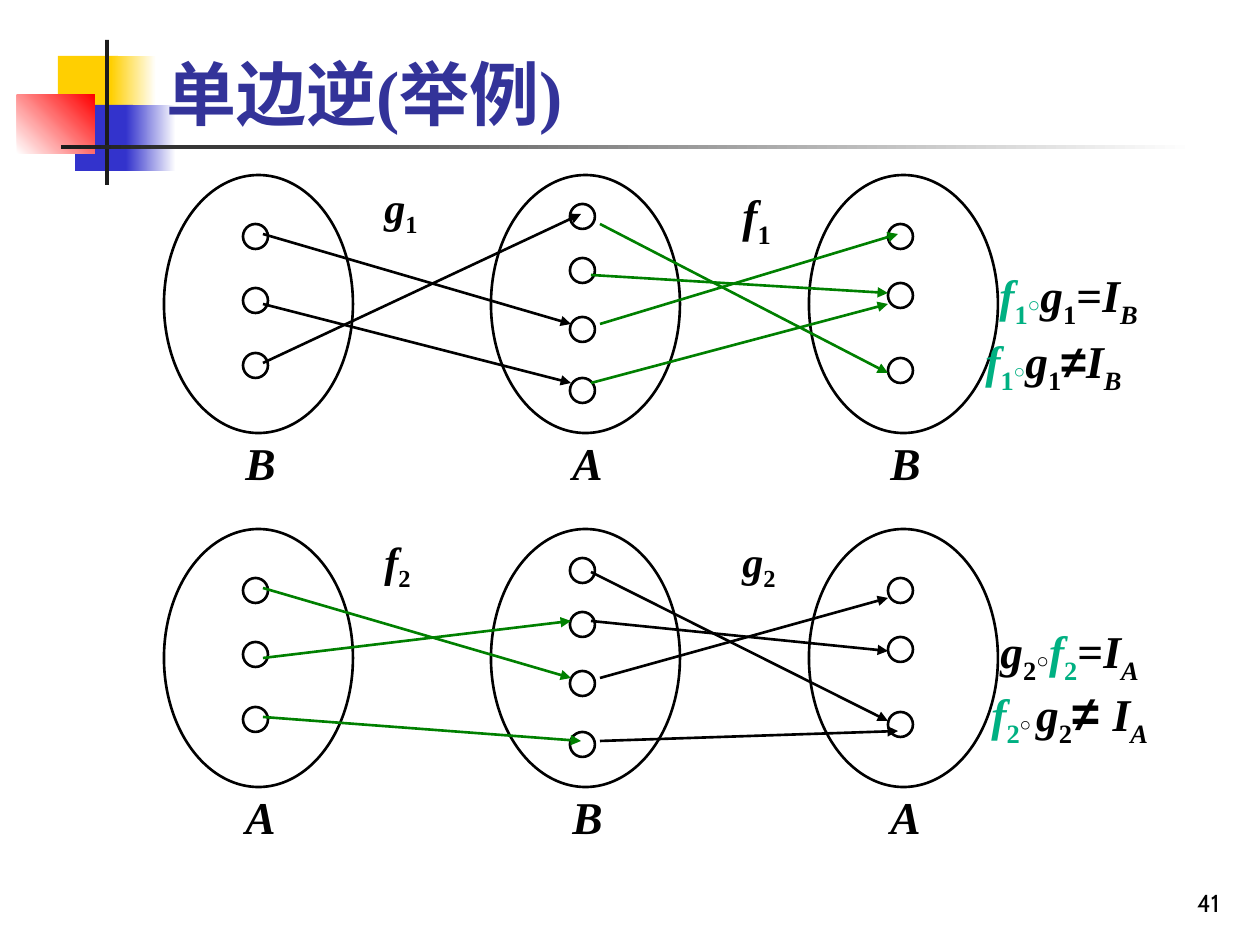
from dataclasses import dataclass
from typing import NamedTuple

from lxml.etree import SubElement
from pptx import Presentation
from pptx.dml.color import RGBColor as RGB
from pptx.enum.shapes import MSO_CONNECTOR as Link, MSO_SHAPE as Preset
from pptx.enum.text import MSO_ANCHOR as Anchor, MSO_AUTO_SIZE as AutoSize, PP_ALIGN as Align
from pptx.oxml.ns import qn
from pptx.util import Emu, Pt

PX_PER_INCH = 126


@dataclass(frozen=True)
class Theme:
    black: str = "000000"
    white: str = "FFFFFF"
    green: str = "008000"
    teal: str = "00B082"
    title: str = "333399"
    yellow: str = "FFCF01"
    blue: str = "3333CC"
    red: str = "FF0000"
    dark: str = "1C1C1C"
    serif: str = "Times New Roman"
    sans: str = "Arial"
    number: str = "Cabin"
    title_size: float = 40
    text_size: float = 26
    map_size: float = 24.1
    number_size: float = 14
    line_width: float = 1.5


THEME = Theme()


class Box(NamedTuple):
    left: int
    top: int
    width: int
    height: int


class Span(NamedTuple):
    text: str
    color: str = THEME.black
    italic: bool = False
    sub: bool = False
    size: float = THEME.text_size
    font: str = THEME.serif


class Block(NamedTuple):
    box: Box
    start: str
    end: str = ""
    angle: int = 0


class Arrow(NamedTuple):
    x1: int
    y1: int
    x2: int
    y2: int


@dataclass(frozen=True)
class Diagram:
    top: int
    sets: str
    colors: tuple[str, str]
    first: list[Arrow]
    second: list[Arrow]


def px(value: int) -> Emu:
    return Emu(round(value * 914400 / PX_PER_INCH))


def add_preset(page, preset, box: Box):
    shape = page.shapes.add_shape(preset, *map(px, box))
    shape.shadow.inherit = False
    return shape


def add_block(page, block: Block) -> None:
    shape = add_preset(page, Preset.RECTANGLE, block.box)
    shape.line.fill.background()
    if block.end:
        shape.fill.gradient()
        shape.fill.gradient_angle = block.angle
        for stop, color in zip(shape.fill.gradient_stops, (block.start, block.end)):
            stop.color.rgb = RGB.from_string(color)
    else:
        shape.fill.solid()
        shape.fill.fore_color.rgb = RGB.from_string(block.start)


def add_outline(page, box: Box) -> None:
    shape = add_preset(page, Preset.OVAL, box)
    shape.fill.background()
    shape.line.color.rgb = RGB.from_string(THEME.black)
    shape.line.width = Pt(THEME.line_width)


def add_arrow(page, arrow: Arrow, top: int, color: str) -> None:
    line = page.shapes.add_connector(
        Link.STRAIGHT, px(arrow.x1), px(top + arrow.y1), px(arrow.x2), px(top + arrow.y2))
    line.line.color.rgb = RGB.from_string(color)
    line.line.width = Pt(THEME.line_width)
    SubElement(line.line._get_or_add_ln(), qn("a:tailEnd"), type="triangle")
    SubElement(line._element.spPr, qn("a:effectLst"))


def add_text(page, box: Box, spans: list[Span], before: float = 16.2,
             spacing: float = 1.1, wrap: bool = True) -> None:
    frame = page.shapes.add_textbox(*map(px, box)).text_frame
    frame.word_wrap = wrap
    frame.auto_size = AutoSize.SHAPE_TO_FIT_TEXT if spacing > 1 else AutoSize.NONE
    para = frame.paragraphs[0]
    para.space_before, para.line_spacing = Pt(before), spacing
    properties = para._p.get_or_add_pPr()
    properties.set("marL", str(px(48)))
    properties.set("indent", str(-px(48)))
    for span in spans:
        run = para.add_run()
        run.text = span.text
        font = run.font
        font.name, font.size = span.font, Pt(span.size)
        font.bold, font.italic = True, span.italic
        font.color.rgb = RGB.from_string(span.color)
        if span.sub:
            run._r.get_or_add_rPr().set("baseline", "-25000")


def symbol(name: str, index: str = "", color: str = THEME.black,
           size: float = THEME.text_size, italic_index: bool = False) -> list[Span]:
    """An italic letter with an optional subscript."""
    letter = [Span(name, color, True, size=size)]
    return letter + [Span(index, color, italic_index, True, size)] if index else letter


def identity(name: str) -> list[Span]:
    return symbol("I", name, italic_index=True)


# Sets, their elements (offsets from the top of the set) and their labels
SET_LEFTS = (164, 491, 809)
SET_WIDTH, SET_HEIGHT, DOT = 189, 258, 25
DOT_TOPS = ((49, 113, 178), (29, 83, 142, 203), (49, 108, 183))

DIAGRAMS = [
    Diagram(175, "BAB", (THEME.black, THEME.green),
            [Arrow(263, 59, 571, 149), Arrow(263, 129, 571, 208), Arrow(263, 188, 581, 39)],
            [Arrow(600, 49, 888, 198), Arrow(591, 208, 888, 129),
             Arrow(600, 149, 898, 59), Arrow(591, 100, 888, 118)]),
    Diagram(529, "ABA", (THEME.green, THEME.black),
            [Arrow(263, 59, 571, 149), Arrow(263, 129, 571, 92), Arrow(263, 188, 581, 212)],
            [Arrow(591, 43, 888, 192), Arrow(600, 149, 888, 69),
             Arrow(591, 92, 888, 122), Arrow(600, 212, 898, 202)]),
]


def draw_diagram(page, diagram: Diagram) -> None:
    for left, dots, name in zip(SET_LEFTS, DOT_TOPS, diagram.sets):
        add_outline(page, Box(left, diagram.top, SET_WIDTH, SET_HEIGHT))
        for dot in dots:
            add_outline(page, Box(left + 79, diagram.top + dot, DOT, DOT))
        add_text(page, Box(left + 69, diagram.top + 248, 129, 73), symbol(name))
    for arrows, color in zip((diagram.first, diagram.second), diagram.colors):
        for arrow in arrows:
            add_arrow(page, arrow, diagram.top, color)


DECORATION = [
    Block(Box(58, 56, 60, 65), THEME.yellow),
    Block(Box(111, 56, 45, 65), THEME.yellow, THEME.white),
    Block(Box(75, 105, 58, 66), THEME.blue),
    Block(Box(126, 105, 50, 66), THEME.blue, THEME.white),
    Block(Box(17, 95, 78, 59), THEME.white, THEME.red, 45),
    Block(Box(105, 40, 4, 145), THEME.dark),
    Block(Box(61, 145, 1134, 4), THEME.dark, THEME.white),
]

F1, F2 = symbol("f", "1", THEME.teal), symbol("f", "2", THEME.teal)
G1, G2 = symbol("g", "1"), symbol("g", "2")
UNEQUAL = Span("≠", font=THEME.sans)
FORMULAS = [
    (Box(987, 255, 257, 81), F1 + [Span("○", THEME.teal, size=12)] + G1 + [Span("=")] + identity("B")),
    (Box(973, 321, 267, 81), F1 + [Span("○", THEME.teal, size=11)] + G1 + [UNEQUAL] + identity("B")),
    (Box(988, 611, 257, 81), G2 + [Span("○", size=12)] + F2 + [Span("=")] + identity("A")),
    (Box(979, 670, 286, 86), F2 + [Span("○ ", size=11)] + G2
     + [UNEQUAL._replace(text="≠ ", size=28)] + identity("A")),
]


def main() -> None:
    deck = Presentation()
    deck.slide_width, deck.slide_height = px(1260), px(945)
    page = deck.slides.add_slide(deck.slide_layouts[5])

    # Corner decoration and title in front of it
    for block in DECORATION:
        add_block(page, block)
    title = page.shapes.title
    page.shapes._spTree.append(title._element)
    title.left, title.top, title.width, title.height = map(px, Box(154, 35, 1074, 106))
    frame = title.text_frame
    frame.text = "单边逆(举例)"
    frame.vertical_anchor = Anchor.BOTTOM
    para = frame.paragraphs[0]
    para.alignment = Align.LEFT
    font = para.runs[0].font
    font.name, font.size, font.bold = THEME.serif, Pt(THEME.title_size), True
    font.color.rgb = RGB.from_string(THEME.title)

    # Mapping diagrams
    for diagram in DIAGRAMS:
        draw_diagram(page, diagram)

    # Names of the maps
    small = THEME.map_size
    add_text(page, Box(372, 175, 129, 73), symbol("g", "1", size=small), spacing=1)
    add_text(page, Box(730, 175, 129, 81), symbol("f", "1"))
    add_text(page, Box(372, 529, 129, 73), symbol("f", "2", size=small), spacing=1)
    add_text(page, Box(730, 529, 129, 73), symbol("g", "2", size=small), spacing=1)

    # Compositions
    for box, spans in FORMULAS:
        add_text(page, box, spans, before=6.5, wrap=False)

    # Page number
    frame = page.shapes.add_textbox(*map(px, Box(970, 861, 262, 63))).text_frame
    frame.word_wrap, frame.vertical_anchor = True, Anchor.BOTTOM
    frame.text = "41"
    para = frame.paragraphs[0]
    para.alignment = Align.RIGHT
    font = para.runs[0].font
    font.name, font.size = THEME.number, Pt(THEME.number_size)
    font.color.rgb = RGB.from_string(THEME.black)

    deck.save("out.pptx")


if __name__ == "__main__":
    main()
